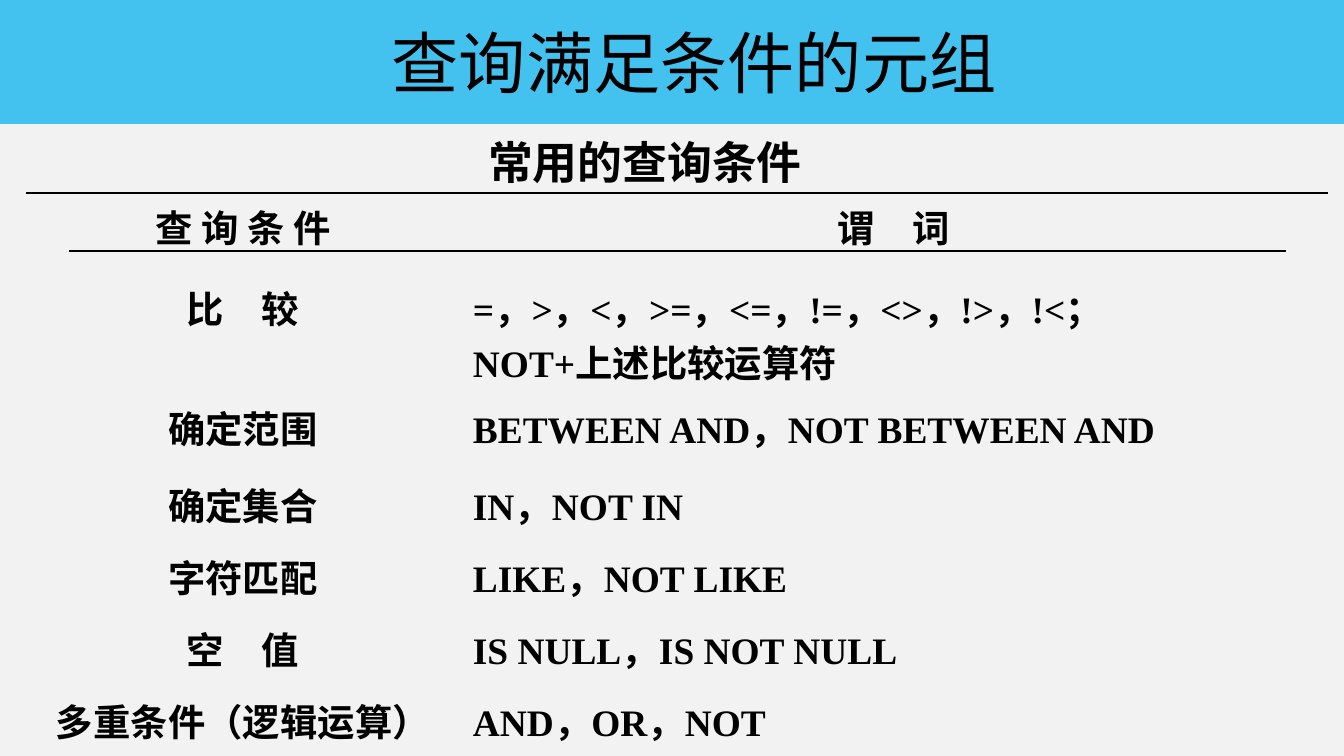
import pptx
import pptx.util
import pptx.dml.color
import pptx.enum.shapes
import pptx.enum.text
import pptx.oxml.ns
from lxml import etree

RGBColor = pptx.dml.color.RGBColor
Align = pptx.enum.text.PP_ALIGN
Anchor = pptx.enum.text.MSO_ANCHOR

BLACK = RGBColor(0x00, 0x00, 0x00)
BANNER_BLUE = RGBColor(0x00, 0xB0, 0xF0)
PAGE_GREY = RGBColor(0xF2, 0xF2, 0xF2)
SERIF = "Times New Roman"
NO_STYLE = "{2D5ABB26-0587-4C30-8999-92F81FD0307C}"

TITLE = "查询满足条件的元组"
CAPTION = "常用的查询条件"
ROWS = [
    (81, "查 询 条 件", ["谓　词"]),
    (108, "比　较", ["=，>，<，>=，<=，!=，<>，!>，!<；", "NOT+上述比较运算符"]),
    (77, "确定范围", ["BETWEEN AND，NOT BETWEEN AND"]),
    (72, "确定集合", ["IN，NOT IN"]),
    (72, "字符匹配", ["LIKE，NOT LIKE"]),
    (72, "空　值", ["IS NULL，IS NOT NULL"]),
    (72, "多重条件（逻辑运算）", ["AND，OR，NOT"]),
]
COLUMNS = [434, 868]


def px(length):
    return round(length * 914400 / 134.4)


def add_xml(parent, tag, **attributes):
    return etree.SubElement(parent, pptx.oxml.ns.qn(tag), attributes)


def write(frame, lines, size=20, font=SERIF, bold=True, align=Align.CENTER, hanging=51):
    frame.word_wrap = True
    for index, line in enumerate(lines):
        paragraph = frame.paragraphs[0] if index == 0 else frame.add_paragraph()
        paragraph.alignment = align
        if hanging:
            properties = paragraph._p.get_or_add_pPr()
            properties.set("marL", str(px(hanging)))
            properties.set("indent", str(-px(hanging)))
        run = paragraph.add_run()
        run.text = line
        run.font.size = pptx.util.Pt(size)
        run.font.name = font
        run.font.bold = bold
        run.font.color.rgb = BLACK


def add_border(cell, side):
    line = etree.Element(pptx.oxml.ns.qn(side), w=str(pptx.util.Pt(1)))
    add_xml(add_xml(line, "a:solidFill"), "a:srgbClr", val=str(BLACK))
    cell._tc.get_or_add_tcPr().insert(0, line)


presentation = pptx.Presentation()
presentation.slide_width, presentation.slide_height = px(1344), px(756)
slide = presentation.slides.add_slide(presentation.slide_layouts[6])
slide.background.fill.solid()
slide.background.fill.fore_color.rgb = PAGE_GREY
shapes = slide.shapes

banner = shapes.add_shape(pptx.enum.shapes.MSO_SHAPE.RECTANGLE, px(-1), 0, px(1345), px(124))
banner.shadow.inherit = False
banner.fill.solid()
banner.fill.fore_color.rgb = BANNER_BLUE
banner.line.fill.background()
banner_color = banner._element.spPr.find(".//" + pptx.oxml.ns.qn("a:srgbClr"))
add_xml(banner_color, "a:alpha", val="72000")

table = shapes.add_table(
    len(ROWS), len(COLUMNS), px(26), px(193), px(sum(COLUMNS)), px(sum(row[0] for row in ROWS))
).table
table.first_row = table.horz_banding = False
table._tbl.tblPr.find(pptx.oxml.ns.qn("a:tableStyleId")).text = NO_STYLE
for column, width in zip(table.columns, COLUMNS):
    column.width = px(width)
for row_index, (height, condition, predicates) in enumerate(ROWS):
    table.rows[row_index].height = px(height)
    for column_index, lines in enumerate([[condition], predicates]):
        cell = table.cell(row_index, column_index)
        cell.fill.background()
        cell.margin_left = cell.margin_right = px(13)
        cell.margin_top = cell.margin_bottom = px(6)
        centred = column_index == 0 or row_index == 0
        write(cell.text_frame, lines, align=Align.CENTER if centred else Align.LEFT)
        if row_index == 0:
            add_border(cell, "a:lnT")
        if row_index == len(ROWS) - 1:
            add_border(cell, "a:lnB")

header_rule = shapes.add_connector(
    pptx.enum.shapes.MSO_CONNECTOR.STRAIGHT, px(69), px(251), px(1286), px(251)
)
header_rule.line.color.rgb = BLACK
header_rule.line.width = pptx.util.Pt(0.75)
add_xml(header_rule._element.spPr, "a:effectLst")

caption = shapes.add_textbox(px(421), px(128), px(448), px(67))
caption.text_frame.auto_size = pptx.enum.text.MSO_AUTO_SIZE.SHAPE_TO_FIT_TEXT
write(caption.text_frame, [CAPTION], size=24)

title = shapes.add_textbox(px(175), 0, px(1038), px(124))
title.text_frame.vertical_anchor = Anchor.MIDDLE
write(title.text_frame, [TITLE], size=36, font="Arial", bold=False, hanging=0)

presentation.save("out.pptx")
